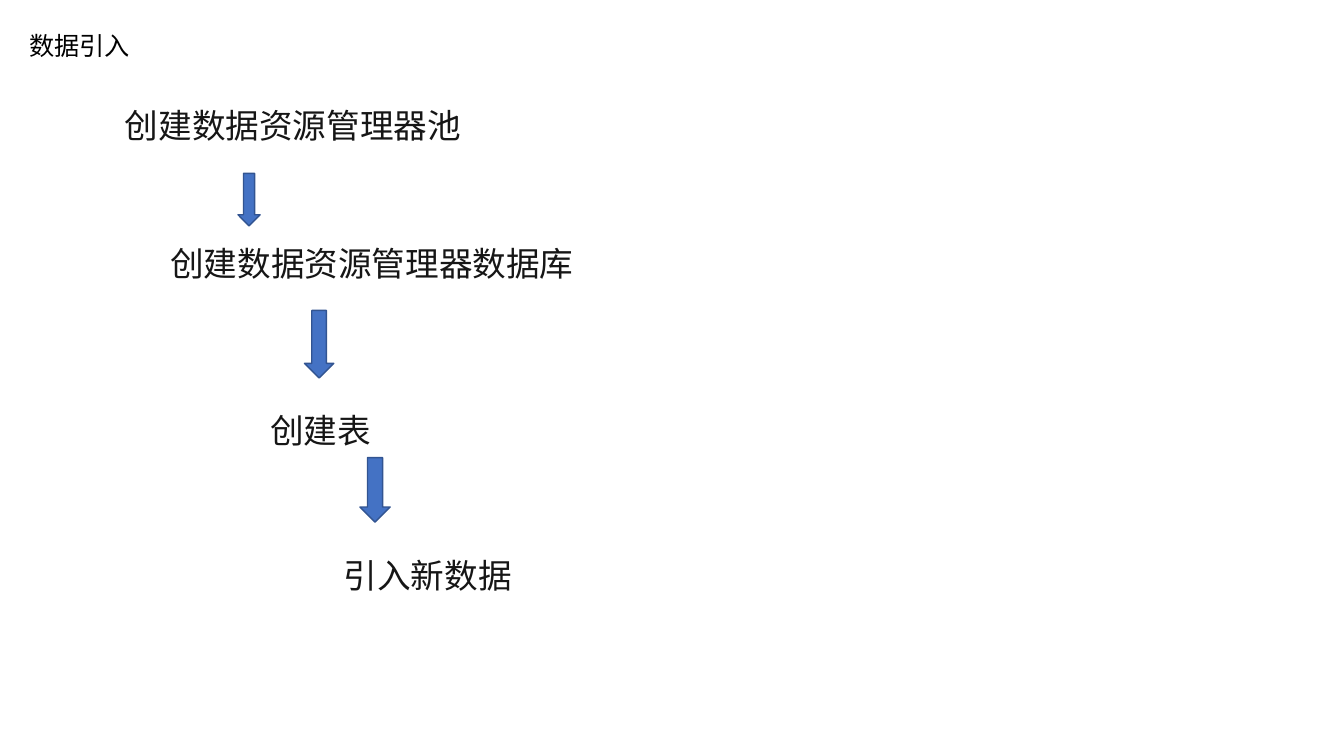
from pptx import Presentation
from pptx.dml.color import RGBColor
from pptx.enum.shapes import MSO_SHAPE
from pptx.enum.text import MSO_AUTO_SIZE
from pptx.util import Inches, Pt

STEPS = [
    ("创建数据资源管理器池", 1.14, 0.99, 6.61),
    ("创建数据资源管理器数据库", 1.59, 2.36, 6.66),
    ("创建表", 2.58, 4.02, 6.66),
    ("引入新数据", 3.31, 5.46, 6.66),
]
ARROWS = [
    (2.36, 1.72, 0.22, 0.52),
    (3.02, 3.08, 0.29, 0.67),
    (3.57, 4.54, 0.3, 0.64),
]


def color(code):
    return RGBColor.from_string(code)


def add_text(slide, text, box, size, face, ink, wrap=True):
    frame = slide.shapes.add_textbox(*map(Inches, box)).text_frame
    frame.word_wrap = wrap
    frame.auto_size = MSO_AUTO_SIZE.SHAPE_TO_FIT_TEXT
    line = frame.paragraphs[0]
    line.text = text
    line.font.size = Pt(size)
    line.font.name = face
    line.font.color.rgb = color(ink)


def add_arrow(slide, box):
    arrow = slide.shapes.add_shape(MSO_SHAPE.DOWN_ARROW, *map(Inches, box))
    arrow.shadow.inherit = False
    arrow.fill.solid()
    arrow.fill.fore_color.rgb = color("4472C4")
    arrow.line.color.rgb = color("325491")
    arrow.line.width = Pt(1)


def main():
    deck = Presentation()
    deck.slide_width = Inches(13.33)
    deck.slide_height = Inches(7.5)
    slide = deck.slides.add_slide(deck.slide_layouts[6])
    add_text(slide, "数据引入", (0.19, 0.25, 1.21, 0.4), 18,
             "Noto Sans CJK SC", "000000", wrap=False)
    for text, left, top, width in STEPS:
        add_text(slide, text, (left, top, width, 0.5), 24, "Lato", "161616")
    for box in ARROWS:
        add_arrow(slide, box)
    deck.save("out.pptx")


if __name__ == "__main__":
    main()
